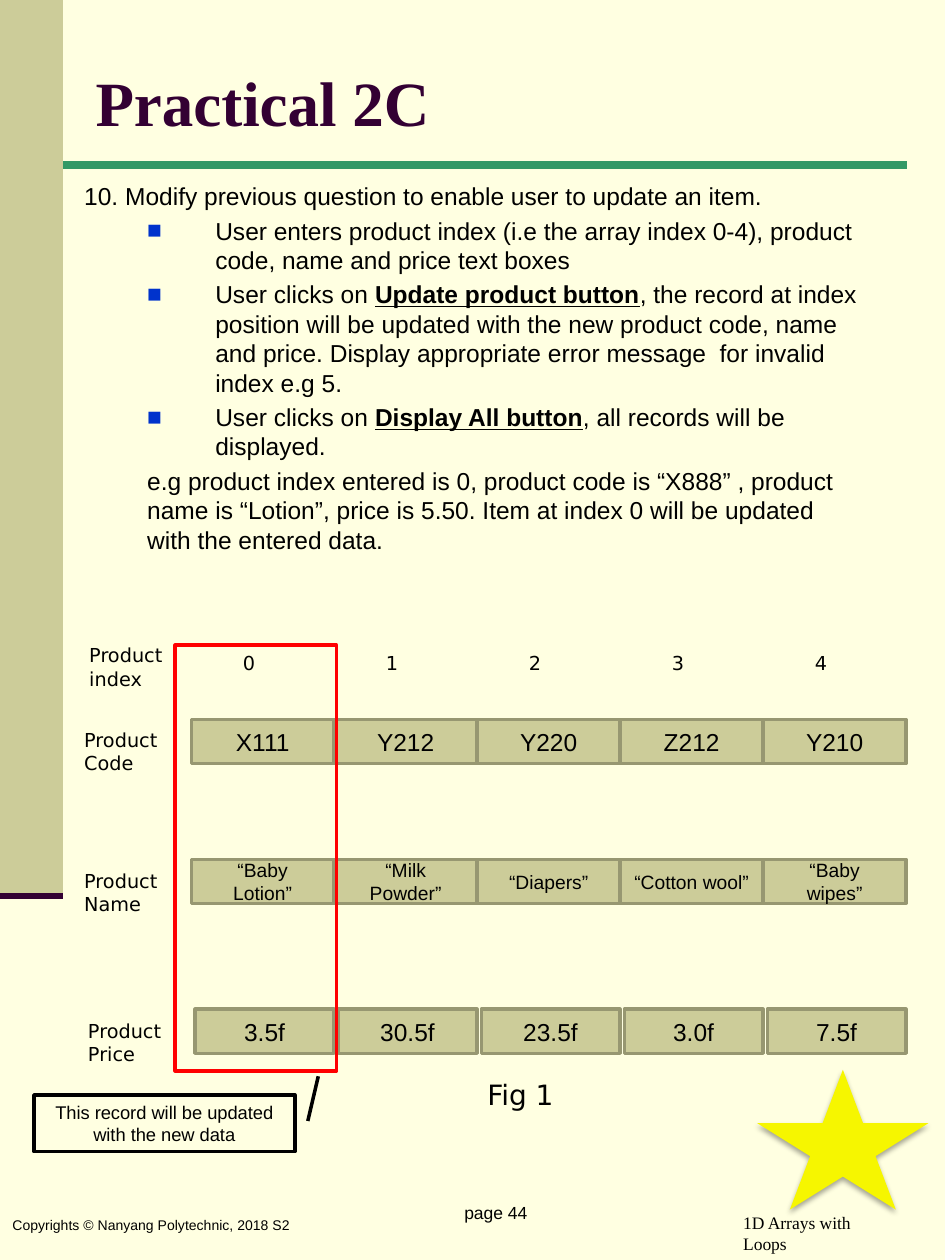
from dataclasses import dataclass
from lxml import etree
from pptx import Presentation
from pptx import util as u
from pptx.dml.color import RGBColor
from pptx.enum import shapes, text
from pptx.oxml.ns import qn

Inches, Pt = u.Inches, u.Pt
CENTER = text.PP_ALIGN.CENTER
MIDDLE = text.MSO_ANCHOR.MIDDLE


@dataclass(frozen=True)
class Theme:
    paper: str = "FFFFE1"
    khaki: str = "CCCC99"
    khaki_edge: str = "979771"
    plum: str = "330033"
    green: str = "339966"
    bullet: str = "0033CC"
    highlight: str = "FF0000"
    star: str = "F6F600"
    ink: str = "000000"
    sans: str = "Arial"
    serif: str = "Times New Roman"
    label: str = "DejaVu Sans"
    title_size: float = 36
    body_size: float = 14
    figure_size: float = 16
    label_size: float = 11
    callout_size: float = 10.5
    footer_size: float = 10
    copyright_size: float = 8


theme = Theme()

# Content: runs are (words, emphasised)
TITLE = "Practical 2C"
QUESTION = "10. Modify previous question to enable user to update an item."
STEPS = [
    [("User enters product index (i.e the array index 0-4), product code, name and price text boxes", False)],
    [("User clicks on ", False), ("Update product button", True),
     (", the record at index position will be updated with the new product code, name and price. "
      "Display appropriate error message  for invalid index e.g 5.", False)],
    [("User clicks on ", False), ("Display All button", True),
     (", all records will be displayed.", False)],
]
EXAMPLE = ("e.g product index entered is 0, product code is “X888” , product name is “Lotion”, "
           "price is 5.50. Item at index 0 will be updated with the entered data.")
# Array rows: label, label left, label top, cells left, cells top, cell width, type size, values
ARRAYS = [
    ("Product Code", 0.57, 5.73, 1.52, 5.71, 1.13, theme.body_size,
     ["X111", "Y212", "Y220", "Z212", "Y210"]),
    ("Product Name", 0.57, 6.85, 1.52, 6.82, 1.13, theme.label_size,
     ["“Baby\nLotion”", "“Milk Powder”", "“Diapers”", "“Cotton wool”", "“Baby\nwipes”"]),
    ("Product Price", 0.6, 8.04, 1.55, 8.01, 1.1, theme.body_size,
     ["3.5f", "30.5f", "23.5f", "3.0f", "7.5f"]),
]
CELL_PITCH = 1.135
CALLOUT = "This record will be updated with the new data"
# Footers: words, box, font, size, alignment, anchor
FOOTERS = [
    ("Copyrights © Nanyang Polytechnic, 2018 S2", (0, 9.44, 4.88, 0.56),
     theme.sans, theme.copyright_size, None, MIDDLE),
    ("page 44", (2.88, 9.49, 2.11, 0.3), theme.sans, theme.footer_size, CENTER, None),
    ("1D Arrays with Loops", (5.8, 9.57, 1.3, 0.27), theme.serif, theme.footer_size, None, None),
]


def color(value):
    return RGBColor.from_string(value)


def add_run(paragraph, words, font=theme.sans, size=theme.body_size, ink=theme.ink,
            bold=False, underline=False):
    run = paragraph.add_run()
    run.text = words
    run.font.name, run.font.size = font, Pt(size)
    run.font.bold, run.font.underline = bold, underline
    run.font.color.rgb = color(ink)


def fill_text(shape, words, align=None, anchor=None, **style):
    frame = shape.text_frame
    frame.word_wrap = True
    frame.vertical_anchor = anchor or text.MSO_ANCHOR.TOP
    for number, line in enumerate(words.split("\n")):
        paragraph = frame.add_paragraph() if number else frame.paragraphs[0]
        paragraph.alignment = align
        add_run(paragraph, line, **style)


def add_label(parent, box, words, **style):
    shape = parent.add_textbox(*map(Inches, box))
    fill_text(shape, words, **style)
    return shape


def add_block(parent, kind, box, fill=None, line=None):
    shape = parent.add_shape(kind, *map(Inches, box))
    shape.shadow.inherit = False
    if fill:
        shape.fill.solid()
        shape.fill.fore_color.rgb = color(fill)
    else:
        shape.fill.background()
    if line:
        shape.line.color.rgb = color(line)
        shape.line.width = Pt(2)
    else:
        shape.line.fill.background()
    return shape


def add_rule(parent, left, right, top, ink, width):
    rule = parent.add_connector(shapes.MSO_CONNECTOR.STRAIGHT,
                                *map(Inches, (left, top, right, top)))
    rule.line.color.rgb = color(ink)
    rule.line.width = Pt(width)
    etree.SubElement(rule._element.spPr, qn("a:effectLst"))


def add_body_paragraph(frame, left, hanging=0.0, bullet=False):
    paragraph = frame.add_paragraph()
    properties = paragraph._p.get_or_add_pPr()
    properties.set("marL", str(Inches(left)))
    properties.set("indent", str(Inches(-hanging)))
    paragraph.space_before = Pt(0.2 * theme.body_size)
    if bullet:
        bullet_color = etree.SubElement(properties, qn("a:buClr"))
        etree.SubElement(bullet_color, qn("a:srgbClr"), val=theme.bullet)
        etree.SubElement(properties, qn("a:buFont"), typeface=theme.sans)
        etree.SubElement(properties, qn("a:buChar"), char="■")
    return paragraph


presentation = Presentation()
presentation.slide_width, presentation.slide_height = Inches(7.5), Inches(10)
slide = presentation.slides.add_slide(presentation.slide_layouts[6])
slide.background.fill.solid()
slide.background.fill.fore_color.rgb = color(theme.paper)
canvas = slide.shapes
RECTANGLE = shapes.MSO_SHAPE.RECTANGLE

# Side band, rules and footers
add_block(canvas, RECTANGLE, (0, 0, 0.5, 7.11), theme.khaki)
add_rule(canvas, 0, 0.5, 7.11, theme.plum, 3.5)
for words, box, font, size, align, anchor in FOOTERS:
    add_label(canvas, box, words, font=font, size=size, align=align, anchor=anchor)
add_rule(canvas, 0.5, 7.2, 1.31, theme.green, 4.5)

# Star with a soft shadow
star = add_block(canvas, shapes.MSO_SHAPE.STAR_5_POINT, (6.01, 8.49, 1.36, 1.11), theme.star)
effects = star._element.spPr.find(qn("a:effectLst"))
shadow = etree.SubElement(effects, qn("a:outerShdw"), blurRad=str(Pt(3.1)), dist=str(Pt(1.8)),
                          dir="5400000", rotWithShape="0")
shadow_color = etree.SubElement(shadow, qn("a:srgbClr"), val=theme.ink)
etree.SubElement(shadow_color, qn("a:alpha"), val="35000")

# Title and question
add_label(canvas, (0.66, 0.34, 6.62, 0.93), TITLE, anchor=MIDDLE, font=theme.serif,
          size=theme.title_size, ink=theme.plum, bold=True)
body = add_label(canvas, (0.57, 1.39, 6.38, 7.31), QUESTION).text_frame
for step in STEPS:
    paragraph = add_body_paragraph(body, 1.04, 0.54, bullet=True)
    for words, emphasised in step:
        add_run(paragraph, words, bold=emphasised, underline=emphasised)
add_run(add_body_paragraph(body, 0.5), EXAMPLE)

# Parallel arrays with their index row
diagram = canvas.add_group_shape().shapes
label_style = dict(font=theme.label, size=theme.label_size)
for label, label_left, label_top, left, top, width, size, values in ARRAYS:
    add_label(diagram, (label_left, label_top, 0.83, 0.47), label, **label_style)
    for column, value in enumerate(values):
        cell = add_block(diagram, RECTANGLE, (left + column * CELL_PITCH, top, width, 0.35),
                         theme.khaki, theme.khaki_edge)
        fill_text(cell, value, align=CENTER, anchor=MIDDLE, size=size)
add_label(diagram, (0.61, 5.06, 0.83, 0.47), "Product index", **label_style)
for column in range(5):
    add_label(diagram, (1.83 + column * CELL_PITCH, 5.12, 0.83, 0.29), str(column), **label_style)

# Figure caption, highlighted record and callout
add_label(canvas, (3.77, 8.5, 0.75, 0.37), "Fig 1", font=theme.label, size=theme.figure_size)
add_block(canvas, RECTANGLE, (1.39, 5.12, 1.28, 3.38), line=theme.highlight)
callout = add_block(canvas, shapes.MSO_SHAPE.LINE_CALLOUT_1, (0.27, 8.69, 2.07, 0.45),
                    theme.paper, theme.ink)
for position, value in enumerate((0.46, 1.05, -0.33, 1.09)):
    callout.adjustments[position] = value
fill_text(callout, CALLOUT, align=CENTER, anchor=MIDDLE, size=theme.callout_size)

presentation.save("out.pptx")
